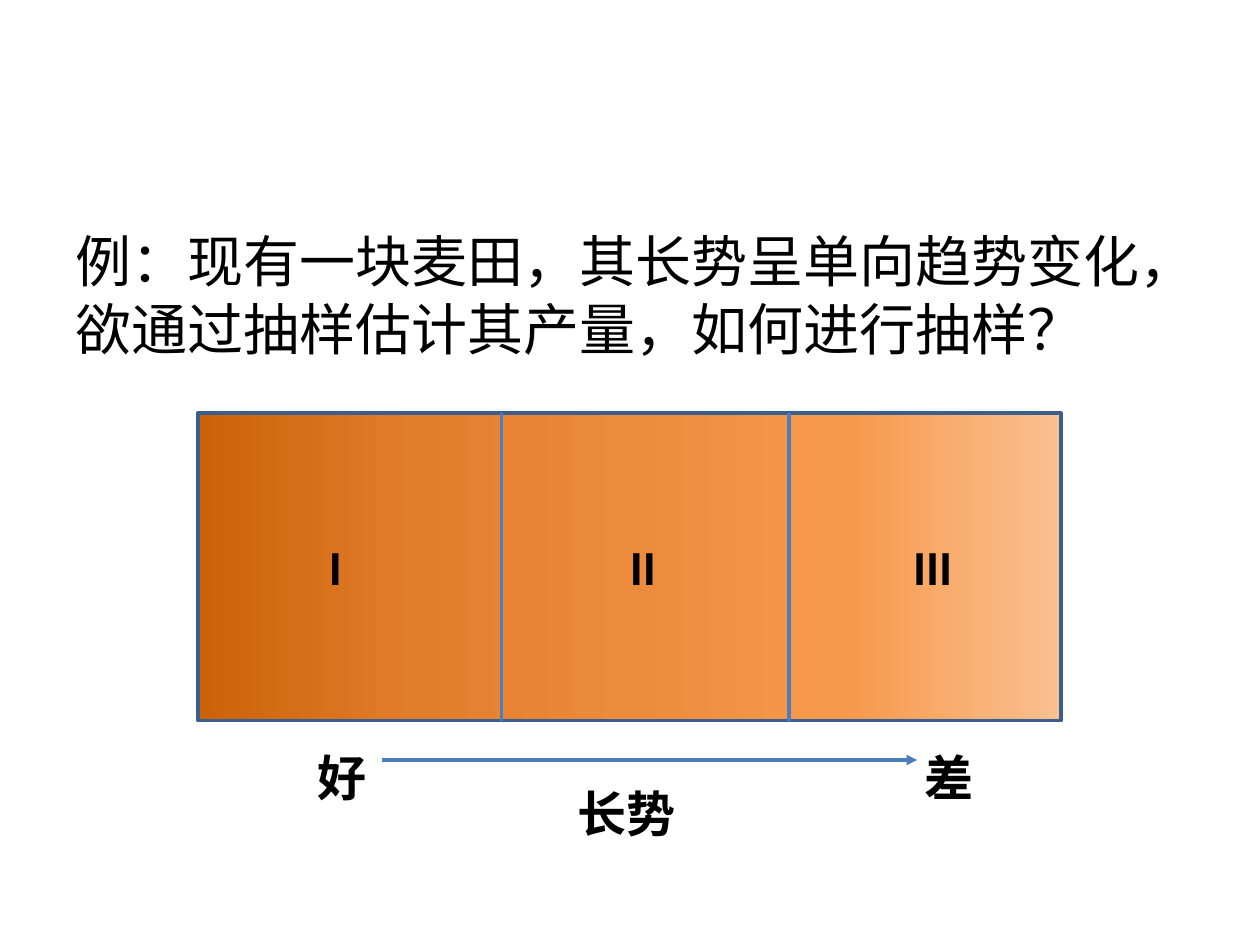
import copy
import pptx
import pptx.util
import pptx.dml.color
import pptx.enum.shapes
import pptx.oxml.ns
import lxml.etree
from pptx.util import Cm

theme = {
    "font": "Calibri", "text": "000000", "edge": "3A5F8C", "line": "4B7EBC",
    "body": 32, "label": 28, "width": 2,
    "field": [(0, "CC6109"), (25, "E27D2B"), (50, "ED8B3C"),
              (75, "F7994C"), (100, "FAC090")],
}
rgb = pptx.dml.color.RGBColor.from_string
qn = pptx.oxml.ns.qn

deck = pptx.Presentation()
deck.slide_width, deck.slide_height = Cm(25.4), Cm(19.05)
slide = deck.slides.add_slide(deck.slide_layouts[6])


def write(text, left, top, width, height, size, bold=False):
    box = slide.shapes.add_textbox(Cm(left), Cm(top), Cm(width), Cm(height))
    frame = box.text_frame
    frame.word_wrap = True
    frame.text = text
    font = frame.paragraphs[0].runs[0].font
    font.name, font.size, font.bold = theme["font"], pptx.util.Pt(size), bold
    font.color.rgb = rgb(theme["text"])
    return frame


def draw(x1, y1, x2, y2):
    line = slide.shapes.add_connector(
        pptx.enum.shapes.MSO_CONNECTOR.STRAIGHT, Cm(x1), Cm(y1), Cm(x2), Cm(y2))
    line.line.color.rgb = rgb(theme["line"])
    line.line.width = pptx.util.Pt(theme["width"])
    lxml.etree.SubElement(line._element.spPr, qn("a:effectLst"))
    return line


# Question
frame = write("例：现有一块麦田，其长势呈单向趋势变化，欲通过抽样估计其产量，如何进行抽样？",
              1.27, 4.45, 22.86, 12.57, theme["body"])
frame.paragraphs[0].space_before = pptx.util.Pt(theme["body"] * 0.2)

# Wheat field, shaded from good to poor
left, top, width, height = 3.99, 8.33, 17.4, 6.2
field = slide.shapes.add_shape(pptx.enum.shapes.MSO_SHAPE.RECTANGLE,
                               Cm(left), Cm(top), Cm(width), Cm(height))
field.shadow.inherit = False
field.line.color.rgb = rgb(theme["edge"])
field.line.width = pptx.util.Pt(theme["width"])
field.fill.gradient()
field.fill.gradient_angle = 0
stops = field._element.spPr.find(qn("a:gradFill")).find(qn("a:gsLst"))
while len(stops) < len(theme["field"]):
    stops.append(copy.deepcopy(stops[0]))
for stop, (place, color) in zip(field.fill.gradient_stops, theme["field"]):
    stop.position = place / 100
    stop.color.rgb = rgb(color)

# Borders between the zones
for x in (10.11, 15.9):
    draw(x, top, x, top + height)

# Growth arrow
arrow = draw(7.7, 15.32, 18.49, 15.32)
edge = arrow._element.spPr.find(qn("a:ln"))
lxml.etree.SubElement(edge, qn("a:tailEnd"), type="triangle")

# Zone and arrow labels
for text, x, y, wide in (
        ("I", 6.38, 10.69, 0.99), ("II", 12.45, 10.69, 1.45),
        ("III", 18.16, 10.69, 1.55), ("长势", 11.4, 15.67, 2.59),
        ("好", 6.15, 14.94, 1.9), ("差", 18.39, 14.94, 2.59)):
    write(text, x, y, wide, 1.45, theme["label"], True)

deck.save("out.pptx")
